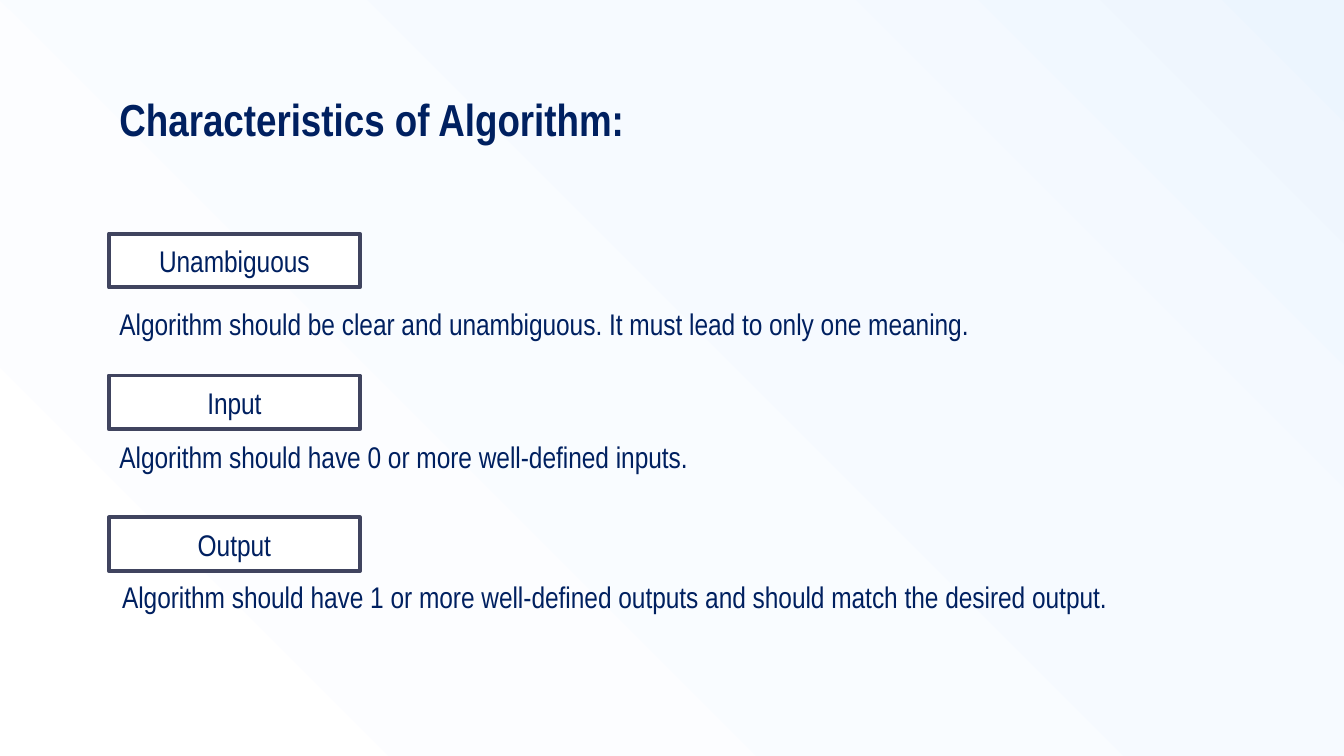
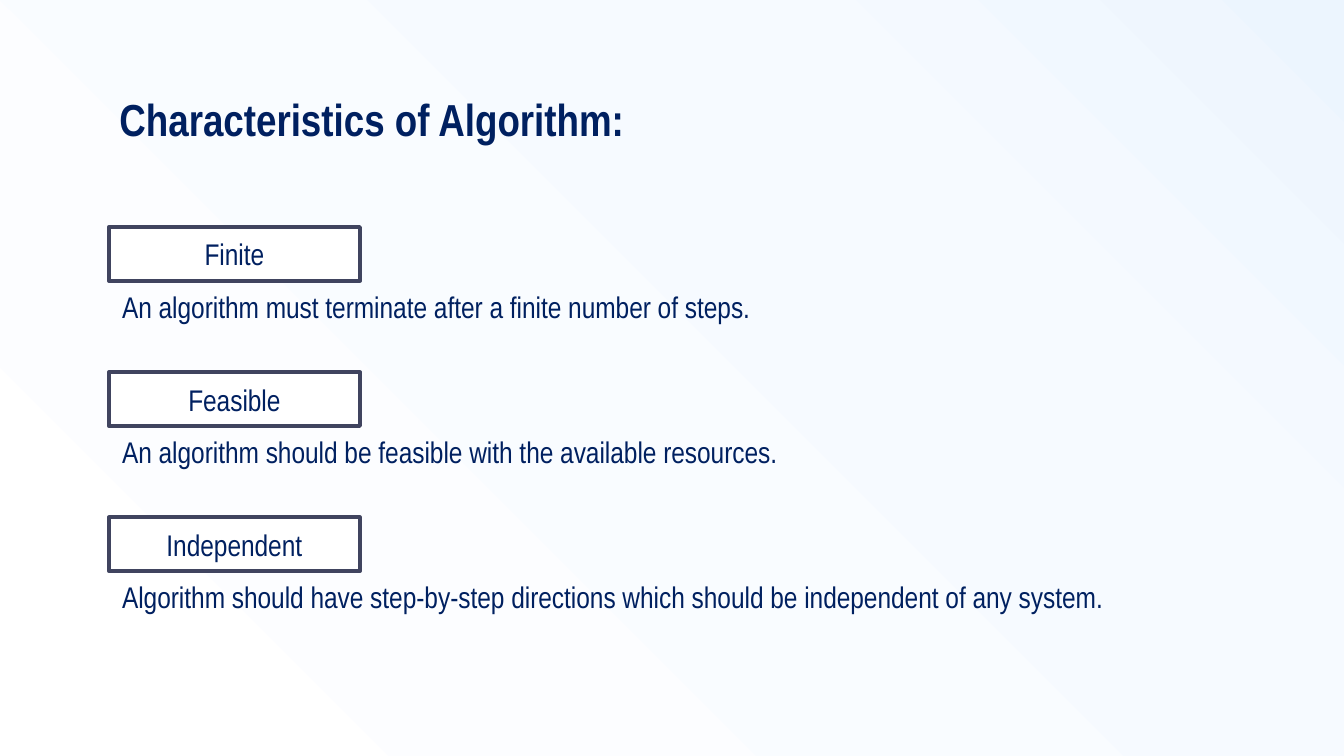
import pptx
import pptx.dml.color
import pptx.enum.shapes
import pptx.enum.text
import pptx.oxml
import pptx.oxml.ns
import pptx.util

Pt = pptx.util.Pt
ALIGN = pptx.enum.text.PP_ALIGN
ANCHOR = pptx.enum.text.MSO_ANCHOR

COLORS = {
    "text": "002060",
    "border": "40445F",
    "box": "FFFFFF",
    "bg_corner": "ECF5FE",
    "bg_middle": "F6FAFF",
    "bg_edge": "FFFFFF",
}
FONT = "Arial Narrow"
TITLE = "Characteristics of Algorithm:"
LABEL_LEFT, LABEL_W, LABEL_H = 58.3, 134.6, 28.8
LAST_LABEL_TOP = 277.2
LINE_H = 26.6

# Per slide: step between labels, then (label, sentence, left, drop, width);
# drop is the distance from the top of the label to the top of the sentence
SLIDES = [
    (76, [
        ("Unambiguous",
         "Algorithm should be clear and unambiguous. "
         "It must lead to only one meaning.", 56.9, 35.3, 550),
        ("Input",
         "Algorithm should have 0 or more well-defined inputs.",
         56.9, 30.2, 550),
        ("Output",
         "Algorithm should have 1 or more well-defined outputs "
         "and should match the desired output.", 58.3, 29.5, 621.4),
    ]),
    (77.75, [
        ("Finite",
         "An algorithm must terminate after a finite number of steps.",
         58.3, 29.5, 550),
        ("Feasible",
         "An algorithm should be feasible with the available resources.",
         58.3, 29.5, 550),
        ("Independent",
         "Algorithm should have step-by-step directions which should be "
         "independent of any system.", 58.3, 29.5, 599),
    ]),
]


def rgb(name):
    return pptx.dml.color.RGBColor.from_string(COLORS[name])


def set_text(sp, text, size=16, bold=False, align=ALIGN.LEFT,
             anchor=ANCHOR.TOP, inset=3.6):
    tf = sp.text_frame
    tf.word_wrap = True
    tf.vertical_anchor = anchor
    tf.margin_left = tf.margin_right = Pt(7.2)
    tf.margin_top = tf.margin_bottom = Pt(inset)
    p = tf.paragraphs[0]
    p.alignment = align
    r = p.add_run()
    r.text = text
    r.font.name = FONT
    r.font.size = Pt(size)
    r.font.bold = bold
    r.font.color.rgb = rgb("text")


def add_text(s, text, left, top, width, height, **fmt):
    sp = s.shapes.add_textbox(Pt(left), Pt(top), Pt(width), Pt(height))
    set_text(sp, text, **fmt)


def add_label(s, text, top):
    sp = s.shapes.add_shape(pptx.enum.shapes.MSO_SHAPE.RECTANGLE,
                            Pt(LABEL_LEFT), Pt(top), Pt(LABEL_W), Pt(LABEL_H))
    sp.shadow.inherit = False
    sp.fill.solid()
    sp.fill.fore_color.rgb = rgb("box")
    sp.line.color.rgb = rgb("border")
    sp.line.width = Pt(2)
    set_text(sp, text, align=ALIGN.CENTER, anchor=ANCHOR.MIDDLE)


def set_background(s):
    # Radial gradient spreading from the top right corner
    s.background.fill.gradient()
    old = s.element.find(".//" + pptx.oxml.ns.qn("a:gradFill"))
    stops = "".join(
        f'<a:gs pos="{pos * 1000}"><a:srgbClr val="{COLORS[name]}"/></a:gs>'
        for pos, name in [(0, "bg_corner"), (29, "bg_middle"), (99, "bg_edge")])
    new = pptx.oxml.parse_xml(
        f'<a:gradFill {pptx.oxml.ns.nsdecls("a")} rotWithShape="1">'
        f'<a:gsLst>{stops}</a:gsLst><a:path path="circle">'
        '<a:fillToRect l="100000" b="100000"/></a:path></a:gradFill>')
    old.getparent().replace(old, new)


def add_slide(prs, step, items):
    s = prs.slides.add_slide(prs.slide_layouts[6])
    set_background(s)
    add_text(s, TITLE, 56.9, 41.8, 303.1, 45.4, size=24, bold=True, inset=7.2)
    # Labels, each with its sentence below
    first_top = LAST_LABEL_TOP - step * (len(items) - 1)
    for i, (label, sentence, left, drop, width) in enumerate(items):
        top = first_top + i * step
        add_label(s, label, top)
        add_text(s, sentence, left, top + drop, width, LINE_H)


def main():
    prs = pptx.Presentation()
    prs.slide_width, prs.slide_height = Pt(720), Pt(405)
    for step, items in SLIDES:
        add_slide(prs, step, items)
    prs.save("out.pptx")


if __name__ == "__main__":
    main()
